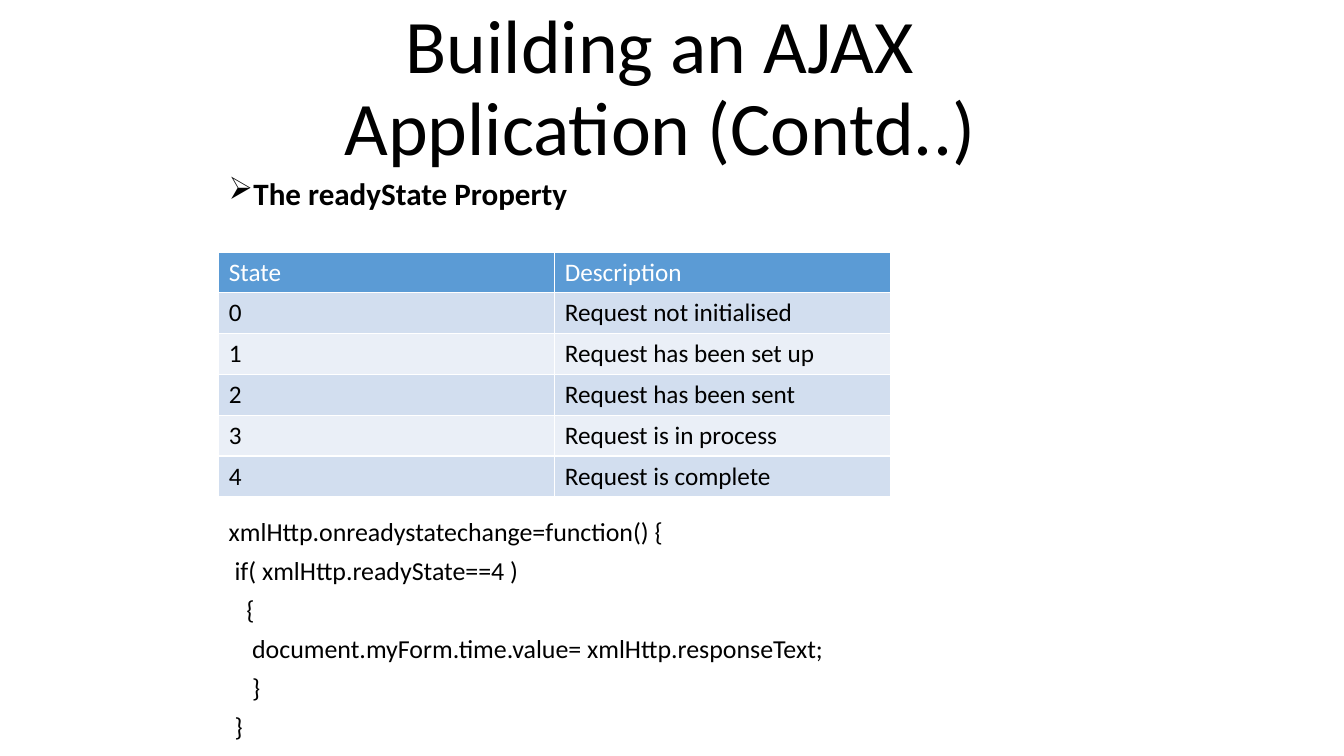
"""Builds the slide on the readyState property of an AJAX application."""
from dataclasses import dataclass

from lxml.etree import SubElement
from pptx import Presentation
from pptx.dml.color import RGBColor
from pptx.enum.text import MSO_ANCHOR, PP_ALIGN
from pptx.oxml.ns import qn
from pptx.util import Inches, Pt

TITLE = "Building an AJAX Application (Contd..)"
HEADING = "The readyState Property"
STATES = [
    ("State", "Description"),
    ("0", "Request not initialised"),
    ("1", "Request has been set up"),
    ("2", "Request has been sent"),
    ("3", "Request is in process"),
    ("4", "Request is complete"),
]
CODE = [
    (0, "xmlHttp.onreadystatechange=function() {"),
    (1, "if( xmlHttp.readyState==4 )"),
    (3, "{"),
    (4, "document.myForm.time.value= xmlHttp.responseText;"),
    (4, "}"),
    (1, "}"),
]


@dataclass(frozen=True)
class Theme:
    """Colours, font and type sizes."""
    font: str = "Calibri"
    ink: str = "000000"
    paper: str = "FFFFFF"
    header: str = "5B9BD5"
    bands: tuple = ("EAEFF7", "D2DEEF")
    title: float = 54
    heading: float = 22.2
    code: float = 18.5
    cell: float = 18


THEME = Theme()
WIDTH, HEIGHT = 13.33, 7.5
LEFT, BODY_WIDTH = 2.17, 8.59
TITLE_LEFT, TITLE_TOP, BODY_TOP = 2.25, 0.33, 1.75
TABLE_TOP, CODE_TOP = HEIGHT / 3, 5.13
COLUMN, ROW = WIDTH / 4, 0.405
INDENT_STEP = 0.226 * THEME.code


def add_span(para, text, size, color=THEME.ink, bold=False):
    span = para.add_run()
    span.text = text
    span.font.name = THEME.font
    span.font.size = Pt(size)
    span.font.bold = bold
    span.font.color.rgb = RGBColor.from_string(color)


def add_box(page, left, top, bottom, anchor=MSO_ANCHOR.TOP):
    box = page.shapes.add_textbox(
        Inches(left), Inches(top), Inches(BODY_WIDTH), Inches(bottom - top))
    box.text_frame.word_wrap = True
    box.text_frame.vertical_anchor = anchor
    return box.text_frame


def add_title(page):
    frame = add_box(page, TITLE_LEFT, TITLE_TOP, BODY_TOP, MSO_ANCHOR.BOTTOM)
    para = frame.paragraphs[0]
    para.alignment = PP_ALIGN.CENTER
    para.line_spacing = 0.9
    add_span(para, TITLE, THEME.title)


def add_heading(page):
    para = add_box(page, LEFT, BODY_TOP, TABLE_TOP).paragraphs[0]
    para.line_spacing = 0.8
    SubElement(para._p.get_or_add_pPr(), qn("a:buChar"), char="➢")
    add_span(para, HEADING, THEME.heading, bold=True)


def add_states(page):
    rows, columns = len(STATES), len(STATES[0])
    table = page.shapes.add_table(
        rows, columns, Inches(LEFT), Inches(TABLE_TOP),
        Inches(columns * COLUMN), Inches(rows * ROW)).table
    for r, texts in enumerate(STATES):
        fill = THEME.bands[r % 2] if r else THEME.header
        color = THEME.ink if r else THEME.paper
        for c, text in enumerate(texts):
            cell = table.cell(r, c)
            cell.fill.solid()
            cell.fill.fore_color.rgb = RGBColor.from_string(fill)
            add_span(cell.text_frame.paragraphs[0], text, THEME.cell, color)


def add_code(page):
    frame = add_box(page, LEFT, CODE_TOP, HEIGHT)
    for number, (depth, line) in enumerate(CODE):
        para = frame.add_paragraph() if number else frame.paragraphs[0]
        para.line_spacing = 0.8
        para.space_before = Pt(10 if number else 0)
        para._p.get_or_add_pPr().set("marL", str(Pt(depth * INDENT_STEP)))
        add_span(para, line, THEME.code)


def main():
    deck = Presentation()
    deck.slide_width, deck.slide_height = Inches(WIDTH), Inches(HEIGHT)
    page = deck.slides.add_slide(deck.slide_layouts[6])
    page.background.fill.solid()
    page.background.fill.fore_color.rgb = RGBColor.from_string(THEME.paper)
    add_title(page)
    add_heading(page)
    add_states(page)
    add_code(page)
    deck.save("out.pptx")


if __name__ == "__main__":
    main()
